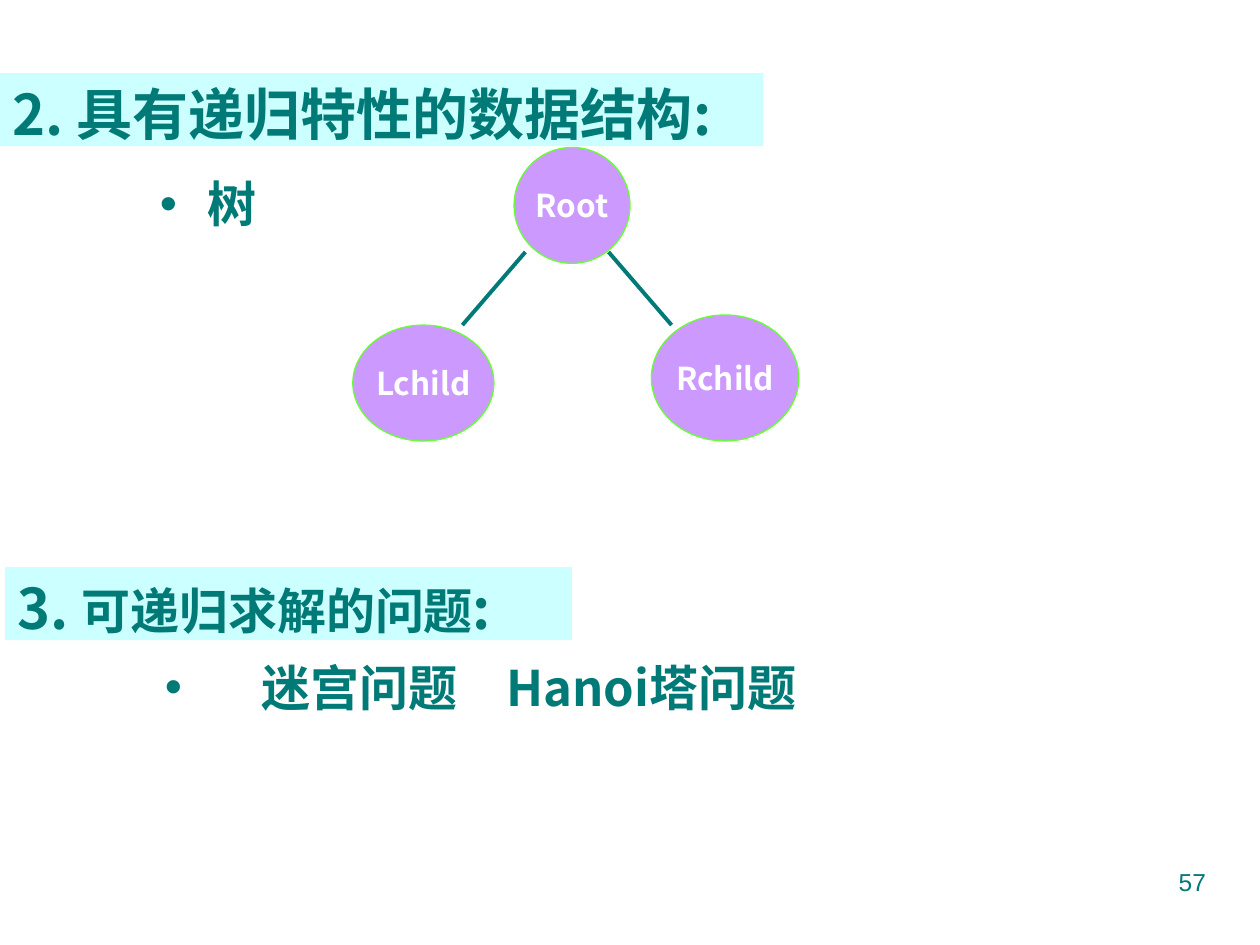
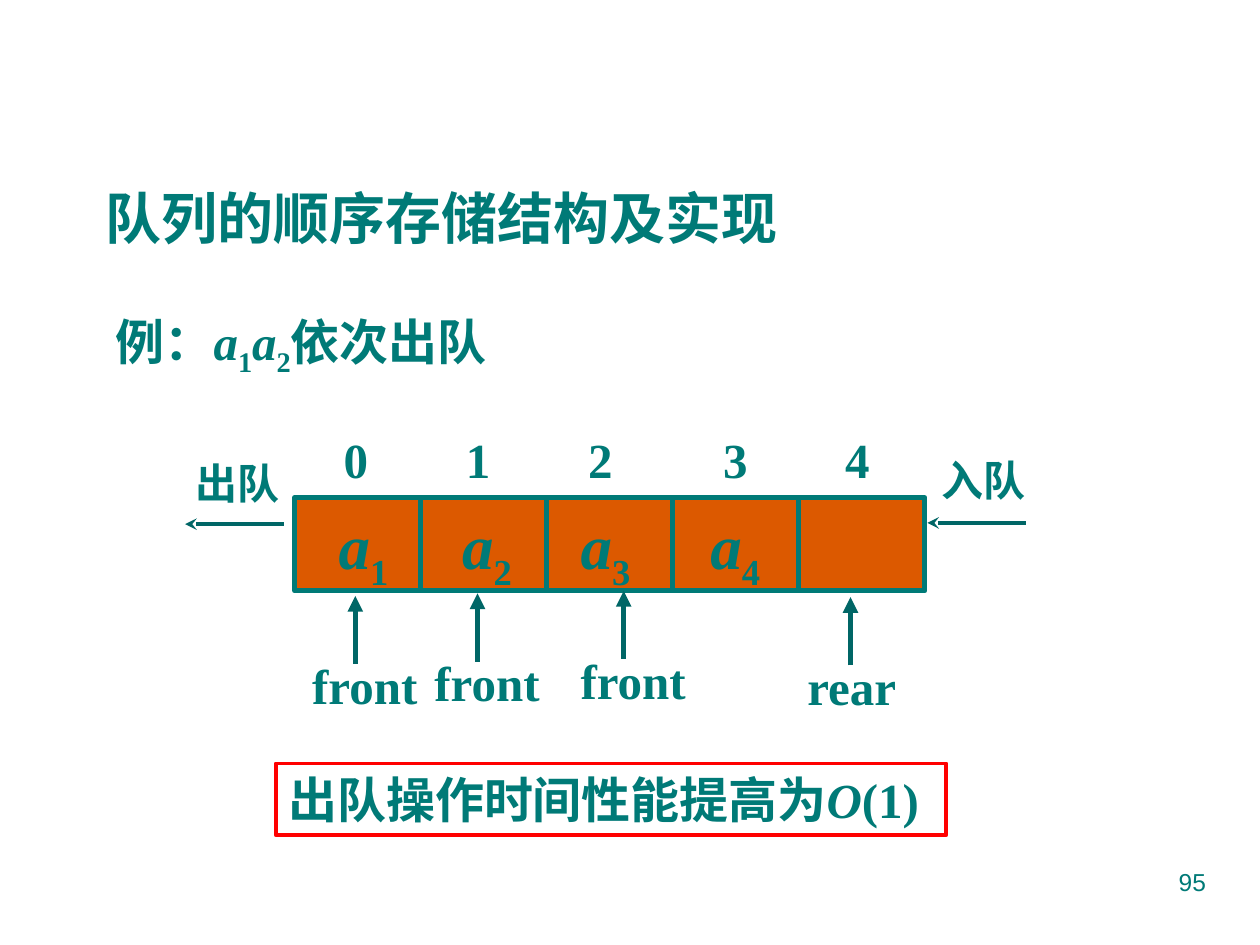
"""Build two slides on recursive data structures and the sequential queue."""
from lxml import etree
from pptx import Presentation
from pptx.dml.color import RGBColor
from pptx.enum import shapes, text
from pptx.oxml import ns
from pptx.util import Inches, Pt

TEAL = RGBColor(0x00, 0x7A, 0x77)
ARROW_TEAL = RGBColor(0x00, 0x66, 0x66)
BAND = RGBColor(0xCC, 0xFF, 0xFF)
NODE = RGBColor(0xCC, 0x99, 0xFF)
NODE_EDGE = RGBColor(0x66, 0xFF, 0x33)
CELL = RGBColor(0xDC, 0x59, 0x00)
RED = RGBColor(0xFF, 0x00, 0x00)
WHITE = RGBColor(0xFF, 0xFF, 0xFF)
SANS, SERIF, PLAIN = "Noto Sans CJK SC", "Times New Roman", "Arial"
RECT, OVAL = shapes.MSO_SHAPE.RECTANGLE, shapes.MSO_SHAPE.OVAL
LEFT, CENTER, RIGHT = text.PP_ALIGN.LEFT, text.PP_ALIGN.CENTER, text.PP_ALIGN.RIGHT


def add_box(slide, box, runs, size=28, font=SERIF, color=TEAL, align=LEFT, bold=True,
            preset=None, fill=None, edge=None, edge_width=0):
    """Place a text box or preset shape; each run is (text, style, optional size)."""
    place = [Inches(value) for value in box]
    if preset is None:
        shape = slide.shapes.add_textbox(*place)
    else:
        shape = slide.shapes.add_shape(preset, *place)
        shape.shadow.inherit = False
        if fill is None:
            shape.fill.background()
        else:
            shape.fill.solid()
            shape.fill.fore_color.rgb = fill
        if edge is None:
            shape.line.fill.background()
        else:
            shape.line.color.rgb = edge
            shape.line.width = Pt(edge_width)
    frame = shape.text_frame
    frame.word_wrap = preset != OVAL
    frame.vertical_anchor = text.MSO_ANCHOR.MIDDLE if preset == OVAL else text.MSO_ANCHOR.TOP
    paragraph = frame.paragraphs[0]
    paragraph.alignment = align
    for words, style, *own_size in runs:
        run = paragraph.add_run()
        run.text = words
        run.font.size = Pt(own_size[0] if own_size else size)
        run.font.name = font
        run.font.bold = bold
        run.font.italic = style == "italic"
        run.font.color.rgb = color
        properties = run.font._element
        etree.SubElement(properties, ns.qn("a:ea"), typeface=SANS)
        if style == "sub":
            properties.set("baseline", "-25000")
    return paragraph


def add_line(slide, start, end, color, width, head=None):
    """Draw a straight line, with an arrowhead at its end if one is named."""
    points = [Inches(value) for value in (*start, *end)]
    line = slide.shapes.add_connector(shapes.MSO_CONNECTOR.STRAIGHT, *points)
    line.line.color.rgb = color
    line.line.width = Pt(width)
    if head:
        etree.SubElement(line.line._get_or_add_ln(), ns.qn("a:tailEnd"), type=head)
    etree.SubElement(line._element.spPr, ns.qn("a:effectLst"))


deck = Presentation()
deck.slide_width, deck.slide_height = Inches(10), Inches(7.5)
recursion, queue = [deck.slides.add_slide(deck.slide_layouts[6]) for _ in range(2)]

headings = [
    ((0, 0.58, 6.06, 0.58), [("2. 具有递归特性的数据结构:", "")]),
    ((0.04, 4.5, 4.5, 0.58), [("3. ", ""), ("可递归求解的问题", "", 28), (":", "")]),
]
for band, runs in headings:
    add_box(recursion, band, runs, 32, SANS, preset=RECT, fill=BAND)

bullets = [
    ((1.17, 1.33, 3, 0.83), "树", 0.38),
    ((1.21, 5.17, 7.77, 0.83), "迷宫问题\u3000Hanoi塔问题".replace("\u3000", "　"), 0.77),
]
for box, words, indent in bullets:
    properties = add_box(recursion, box, [(words, "")], font=SANS)._p.get_or_add_pPr()
    properties.set("marL", str(Inches(indent)))
    properties.set("indent", str(-Inches(indent)))
    etree.SubElement(properties, ns.qn("a:buFont"), typeface=PLAIN)
    etree.SubElement(properties, ns.qn("a:buChar"), char="•")

tree_nodes = [
    ("Root", (4.08, 1.17, 0.92, 0.92)),
    ("Lchild", (2.8, 2.58, 1.12, 0.92)),
    ("Rchild", (5.17, 2.5, 1.17, 1)),
]
for name, box in tree_nodes:
    add_box(recursion, box, [(name, "")], 18, SANS, WHITE, CENTER,
            preset=OVAL, fill=NODE, edge=NODE_EDGE, edge_width=0.75)
for side in (-1, 1):
    add_line(recursion, (4.5 + side * 0.33, 2), (4.5 + side * 0.83, 2.58), TEAL, 2.25)

add_box(queue, (0.74, 1.41, 6.75, 0.64), [("队列的顺序存储结构及实现", "")], 32)
add_box(queue, (0.82, 2.42, 3.69, 0.63),
        [("例：", ""), ("a", "italic"), ("1", "sub"), ("a", "italic"), ("2", "sub"),
         ("依次出队", "")])

for index in range(5):
    add_box(queue, (2.34 + index, 3.95, 1, 0.74), [], preset=RECT,
            fill=CELL, edge=TEAL, edge_width=3)
for index, left in enumerate((2.63, 3.6, 4.57, 5.64, 6.61)):
    add_box(queue, (left, 3.36, 0.5, 0.57), [(str(index), "")])
for number, left in enumerate((2.59, 3.57, 4.51, 5.54), start=1):
    add_box(queue, (left, 3.97, 0.64, 0.79), [("a", "italic"), (str(number), "sub")], 36)

moves = [("入队", 7.37, 3.56, 8.14, 4.15), ("出队", 1.45, 3.58, 2.25, 4.16)]
for name, left, top, arrow_start, arrow_y in moves:
    add_box(queue, (left, top, 1.05, 0.5), [(name, "")], 24)
    add_line(queue, (arrow_start, arrow_y), (arrow_start - 0.78, arrow_y),
             ARROW_TEAL, 2.25, "stealth")

pointers = [("front", 2.82, 4.73), ("front", 3.79, 4.71), ("front", 4.95, 4.69),
            ("rear", 6.75, 4.74)]
for name, x, tip in pointers:
    add_line(queue, (x, tip + 0.54), (x, tip), ARROW_TEAL, 3, "triangle")
    add_box(queue, (x - 0.44, tip + 0.42, 1.13, 0.57), [(name, "")])

add_box(queue, (2.19, 6.06, 5.32, 0.57),
        [("出队操作时间性能提高为", ""), ("O", "italic"), ("(1)", "")],
        preset=RECT, edge=RED, edge_width=2.25)

for slide, page in ((recursion, "57"), (queue, "95")):
    add_box(slide, (7.17, 6.83, 2.5, 0.52), [(page, "")], 14, PLAIN, align=RIGHT, bold=False)

deck.save("out.pptx")
